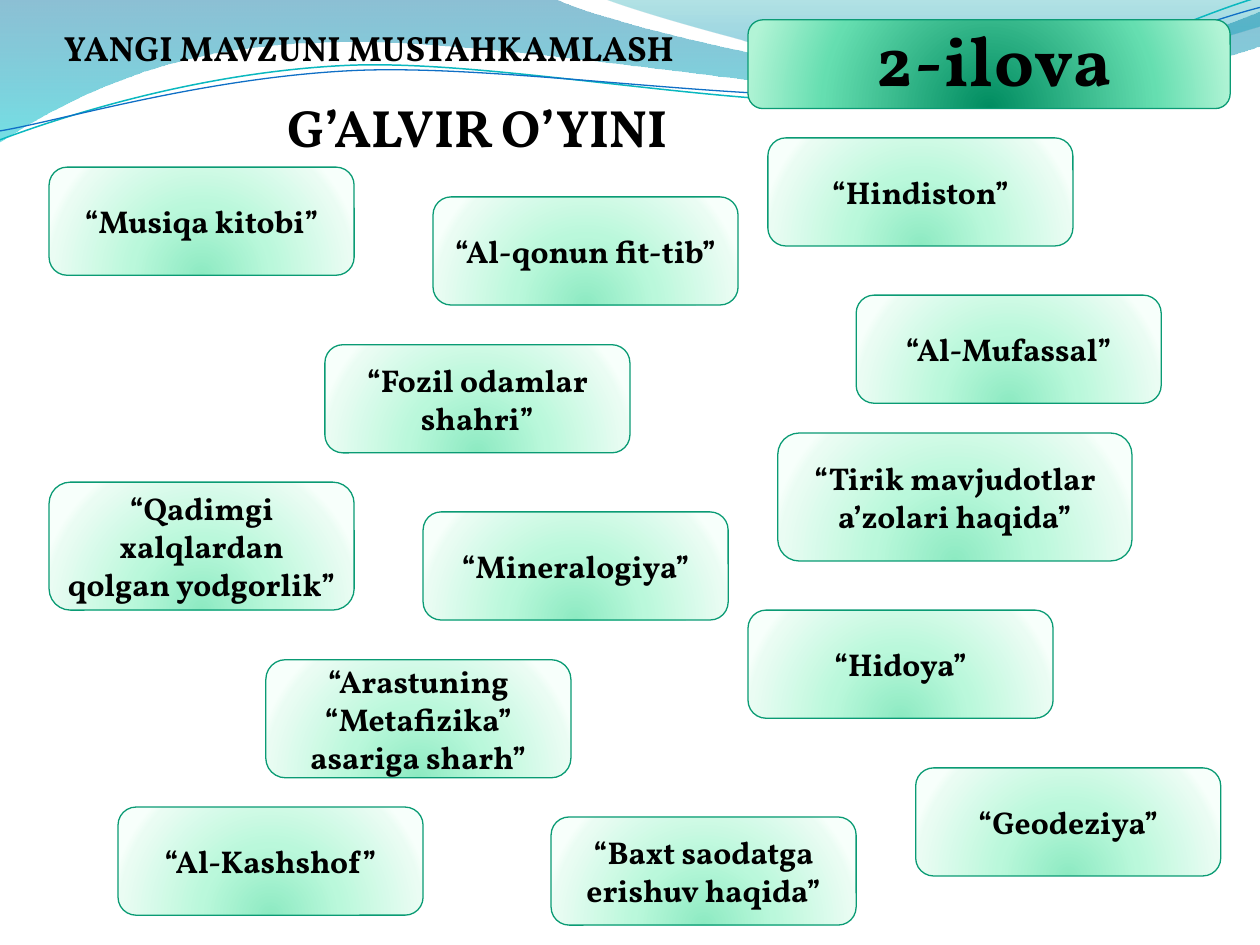
from lxml.etree import SubElement
from pptx import Presentation
from pptx.dml.color import RGBColor
from pptx.enum.shapes import MSO_SHAPE
from pptx.enum.text import MSO_ANCHOR, MSO_AUTO_SIZE, PP_ALIGN
from pptx.oxml import parse_xml
from pptx.oxml.ns import nsdecls, qn
from pptx.util import Cm, Pt

GLOW = ('<a:path path="circle"><a:fillToRect l="50000" t="130000" '
        'r="50000" b="-30000"/></a:path>')
DOWN = '<a:lin ang="5400000" scaled="0"/>'

THEME = {
    "font": "Vollkorn",
    "text": RGBColor(0, 0, 0),
    "edge": RGBColor.from_string("0A9B74"),
    "teal": RGBColor.from_string("0AB8BF"),
    "blue": RGBColor.from_string("0F6FC6"),
    "head": 20, "game": 30, "label": 40, "card": 18,
    # gradient stops: position %, colour, opacity %
    "left": (DOWN, [(0, "0074A1", 45), (100, "00C6CF", 55)]),
    "right": (DOWN, [(0, "00A1A9", 30), (80, "008BBF", 45)]),
    "deep": (GLOW, [(0, "008C60", 100), (68, "65DEB0", 100),
                    (100, "B2F4D6", 100)]),
    "pale": (GLOW, [(0, "8DEAC2", 100), (43, "BAF8DB", 100),
                    (93, "EAFCF3", 100), (100, "F7FFFB", 100)]),
}


def shade(shape, name):
    """Give a shape that has no fill yet one of the theme's gradients."""
    mode, stops = THEME[name]
    marks = "".join(
        f'<a:gs pos="{pos * 1000}"><a:srgbClr val="{tint}">'
        f'<a:alpha val="{alpha * 1000}"/></a:srgbClr></a:gs>'
        for pos, tint, alpha in stops)
    shape.element.spPr.append(parse_xml(
        f'<a:gradFill {nsdecls("a")} rotWithShape="1">'
        f'<a:gsLst>{marks}</a:gsLst>{mode}</a:gradFill>'))


def bend(shape, parts):
    """Turn each run of three straight steps that forms a curve into one."""
    steps = iter(list(shape.element.iter(qn("a:lnTo"))))
    for part in parts:
        group = [next(steps) for _ in part]
        if len(part) == 3:
            curve = SubElement(group[0].getparent(), qn("a:cubicBezTo"))
            group[0].addprevious(curve)
            for step in group:
                curve.append(step[0])
                step.getparent().remove(step)


deck = Presentation()
deck.slide_width, deck.slide_height = Cm(25.4), Cm(19.05)
slide = deck.slides.add_slide(deck.slide_layouts[6])
shapes = slide.shapes

# Waves: one point is a straight step, three points are a Bezier curve.
# Each has a gradient, or a line colour and width.
TURN = 357.3
waves = [
    ("left", None, (0, -0.03), [
        [(11.18, -0.03)],
        [(12.09, 0.43), (16.87, 1.6), (19.25, 1.6)],
        [(21.67, 1.6), (24.33, 0.66), (25.4, 0.23)],
        [(25.43, 0.91)],
        [(24.97, 1.12), (22.1, 1.93), (18.95, 1.91)],
        [(15.8, 1.91), (9.7, 0.71), (6.53, 0.86)],
        [(3.28, 0.89), (1.17, 2.11), (-0.03, 2.87)]]),
    ("right", None, (12.17, -0.03), [
        [(12.93, 0.28), (17.32, 1.57), (19.53, 1.65)],
        [(21.74, 1.75), (24.41, 0.81), (25.4, 0.53)],
        [(25.4, 0)]]),
    ("teal", 0.85, (-0.05, 2.22), [
        [(1.19, 1.82), (4.02, 1.04), (7.05, 1.05)],
        [(10.05, 1.07), (15.02, 2.37), (18.08, 2.29)],
        [(21.13, 2.2), (23.86, 0.91), (25.41, 0.55)]]),
    ("blue", 0.75, (-0.04, 2.04), [
        [(1.16, 1.9), (4.17, 1.15), (7.2, 1.16)],
        [(10.25, 1.18), (15.13, 2.23), (18.19, 2.16)],
        [(21.22, 2.1), (23.93, 1.06), (25.45, 0.75)]]),
]
for name, width, start, parts in waves:
    pen = shapes.build_freeform(*map(Cm, start))
    pen.add_line_segments([(Cm(x), Cm(y)) for part in parts for x, y in part],
                          close=width is None)
    wave = pen.convert_to_shape()
    bend(wave, parts)
    wave.shadow.inherit = False
    if width is None:
        shade(wave, name)
        wave.line.fill.background()
    else:
        wave.fill.background()
        wave.line.color.rgb = THEME[name]
        wave.line.width = Pt(width)
        wave.rotation = TURN

# Headings, banner and cards, from back to front
WIDE, HIGH, TALL = 6.15, 2.18, 2.58
items = [
    ("head", "YANGI MAVZUNI MUSTAHKAMLASH", 0.2, 0.4, 14.48, 1.11),
    ("banner", "", 15.08, 0.4, 9.72, 1.79),
    ("label", "2-ilova", 15.88, 0.2, 8.33, 1.96),
    ("game", "G’ALVIR O’YINI", 4.57, 1.79, 10.11, 1.55),
    ("card", "“Tirik mavjudotlar a’zolari haqida”", 15.68, 8.73, 7.14, TALL),
    ("card", "“Musiqa kitobi”", 0.99, 3.37, WIDE, HIGH),
    ("card", "“Al-qonun fit-tib”", 8.73, 3.97, WIDE, HIGH),
    ("card", "“Hindiston”", 15.48, 2.78, WIDE, HIGH),
    ("card", "“Al-Mufassal”", 17.26, 5.95, WIDE, HIGH),
    ("card", "“Fozil odamlar shahri”", 6.55, 6.95, WIDE, HIGH),
    ("card", "“Qadimgi xalqlardan qolgan yodgorlik”", 0.99, 9.72, WIDE, TALL),
    ("card", "“Al-Kashshof”", 2.38, 16.27, WIDE, HIGH),
    ("card", "“Mineralogiya”", 8.53, 10.32, WIDE, HIGH),
    ("card", "“Arastuning “Metafizika” asariga sharh”",
     5.36, 13.3, WIDE, 2.38),
    ("card", "“Hidoya”", 15.08, 12.3, WIDE, HIGH),
    ("card", "“Geodeziya”", 18.46, 15.48, WIDE, HIGH),
    ("card", "“Baxt saodatga erishuv haqida”", 11.11, 16.47, WIDE, HIGH),
]
for kind, text, *box in items:
    place = [Cm(side) for side in box]
    if kind in ("card", "banner"):
        item = shapes.add_shape(MSO_SHAPE.ROUNDED_RECTANGLE, *place)
        shade(item, "pale" if text else "deep")
        item.line.color.rgb = THEME["edge"]
        item.line.width = Pt(0.75)
        item.shadow.inherit = False
        form = {"word_wrap": True, "vertical_anchor": MSO_ANCHOR.MIDDLE}
    else:
        item = shapes.add_textbox(*place)
        form = {"word_wrap": True,
                "auto_size": MSO_AUTO_SIZE.SHAPE_TO_FIT_TEXT}
    if not text:
        continue
    frame = item.text_frame
    for key, value in form.items():
        setattr(frame, key, value)
    para = frame.paragraphs[0]
    para.alignment = PP_ALIGN.CENTER
    run = para.add_run()
    run.text = text
    font = {"name": THEME["font"], "size": Pt(THEME[kind]), "bold": True}
    for key, value in font.items():
        setattr(run.font, key, value)
    run.font.color.rgb = THEME["text"]
    if kind == "label":
        run._r.get_or_add_rPr().set("spc", "50")

deck.save("out.pptx")
